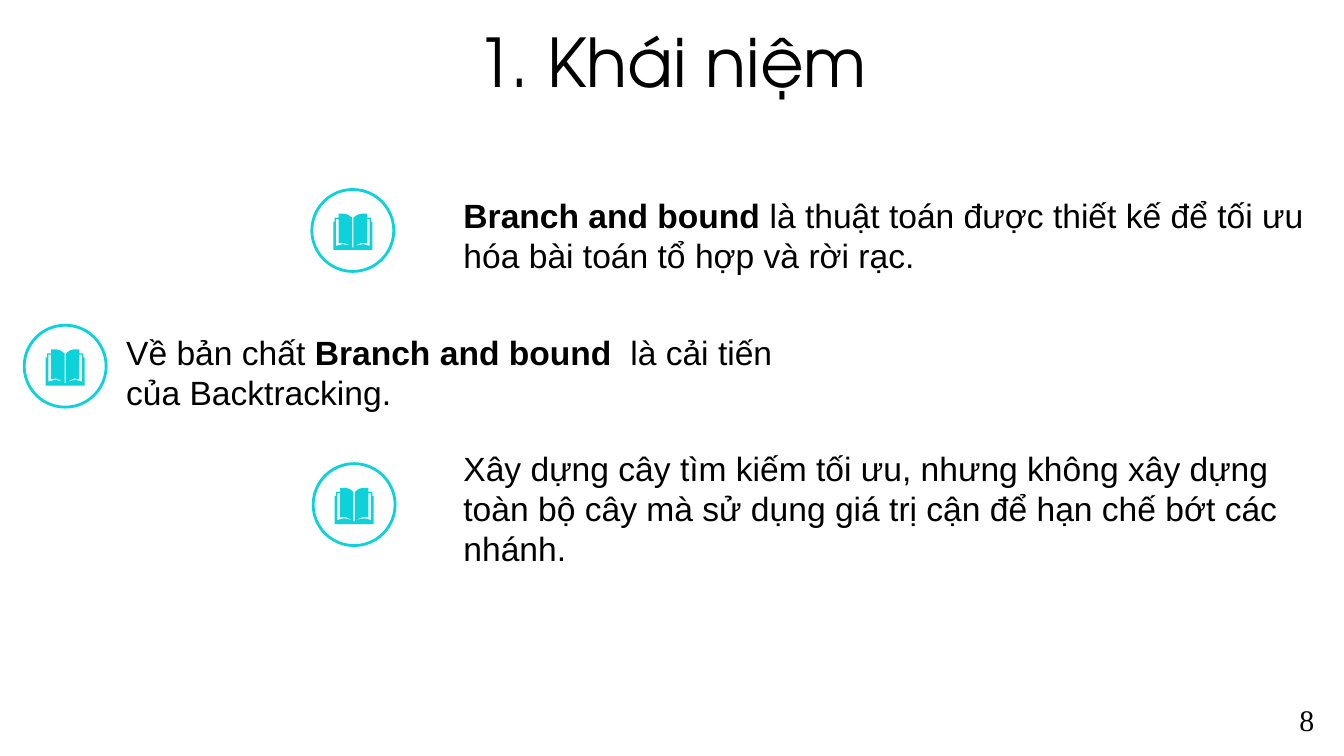
from pptx import Presentation
from pptx.dml.color import RGBColor
from pptx.enum.shapes import MSO_SHAPE
from pptx.enum.text import MSO_ANCHOR, PP_ALIGN
from pptx.util import Inches, Pt

INK, CYAN, WHITE = "000000", "0DD2D9", "FFFFFF"


def paint(shape, fill, line=None):
    shape.shadow.inherit = False
    shape.fill.solid()
    shape.fill.fore_color.rgb = RGBColor.from_string(fill)
    if line:
        shape.line.color.rgb = RGBColor.from_string(line)
        shape.line.width = Pt(1.5)
    else:
        shape.line.fill.background()


def write(place, spans, size, font, wrap=True):
    box = page.shapes.add_textbox(*map(Inches, place))
    box.text_frame.word_wrap = wrap
    para = box.text_frame.paragraphs[0]
    para.font.size = Pt(size)
    para.font.name = font
    para.font.color.rgb = RGBColor.from_string(INK)
    for text, bold in spans:
        span = para.add_run()
        span.text = text
        if bold:
            span.font.bold = True
    return box


deck = Presentation()
deck.slide_width = Inches(10)
deck.slide_height = deck.slide_width * 9 // 16
page = deck.slides.add_slide(deck.slide_layouts[6])

title = write((0, 0.14, 10, 0.63), [("1. Khái niệm", False)], 36, "TeX Gyre Adventor")
title.text_frame.vertical_anchor = MSO_ANCHOR.MIDDLE
title.text_frame.paragraphs[0].alignment = PP_ALIGN.CENTER

points = [
    ((2.32, 1.41), (3.35, 1.4, 6.65, 0.71), [
        ("Branch and bound\u00a0", True),
        ("là thuật toán được thiết kế để tối ưu hóa bài toán tổ hợp và rời rạc.", False)]),
    ((0.18, 2.42), (0.84, 2.42, 5.01, 0.71), [
        ("Về bản chất ", False),
        ("Branch and bound\u00a0 ", True),
        ("là cải tiến của Backtracking.", False)]),
    ((2.33, 3.45), (3.35, 3.28, 6.54, 1.01), [
        ("Xây dựng cây tìm kiếm tối ưu, nhưng không xây dựng toàn bộ cây mà sử dụng "
         "giá trị cận để hạn chế bớt các nhánh.", False)]),
]

circle_size = 0.61
book_width = 29
left_half = [
    (0, 27), (0, 6), (1, 6), (1, 3), (4, 3), (4, 0), (8, 0), (11, 0.8), (14, 3),
    (14, 25), (11, 23), (8, 21.8), (4, 22), (4, 4), (2, 4), (2, 24), (7, 22.7),
    (11, 23.5), (14, 25),
]
right_half = [(book_width - x, y) for x, y in reversed(left_half)]
book_outline = left_half + right_half

for (left, top), place, spans in points:
    write(place, spans, 18, "Arial")
    circle = page.shapes.add_shape(
        MSO_SHAPE.OVAL, Inches(left), Inches(top), Inches(circle_size), Inches(circle_size))
    paint(circle, WHITE, CYAN)
    corners = [(Inches(left + 0.16 + x / 100), Inches(top + 0.18 + y / 100))
               for x, y in book_outline]
    builder = page.shapes.build_freeform(*corners[0])
    builder.add_line_segments(corners[1:], close=True)
    paint(builder.convert_to_shape(), CYAN)

write((9.57, 5.17, 0.31, 0.37), [("8", False)], 16, "Times New Roman", wrap=False)

deck.save("out.pptx")
